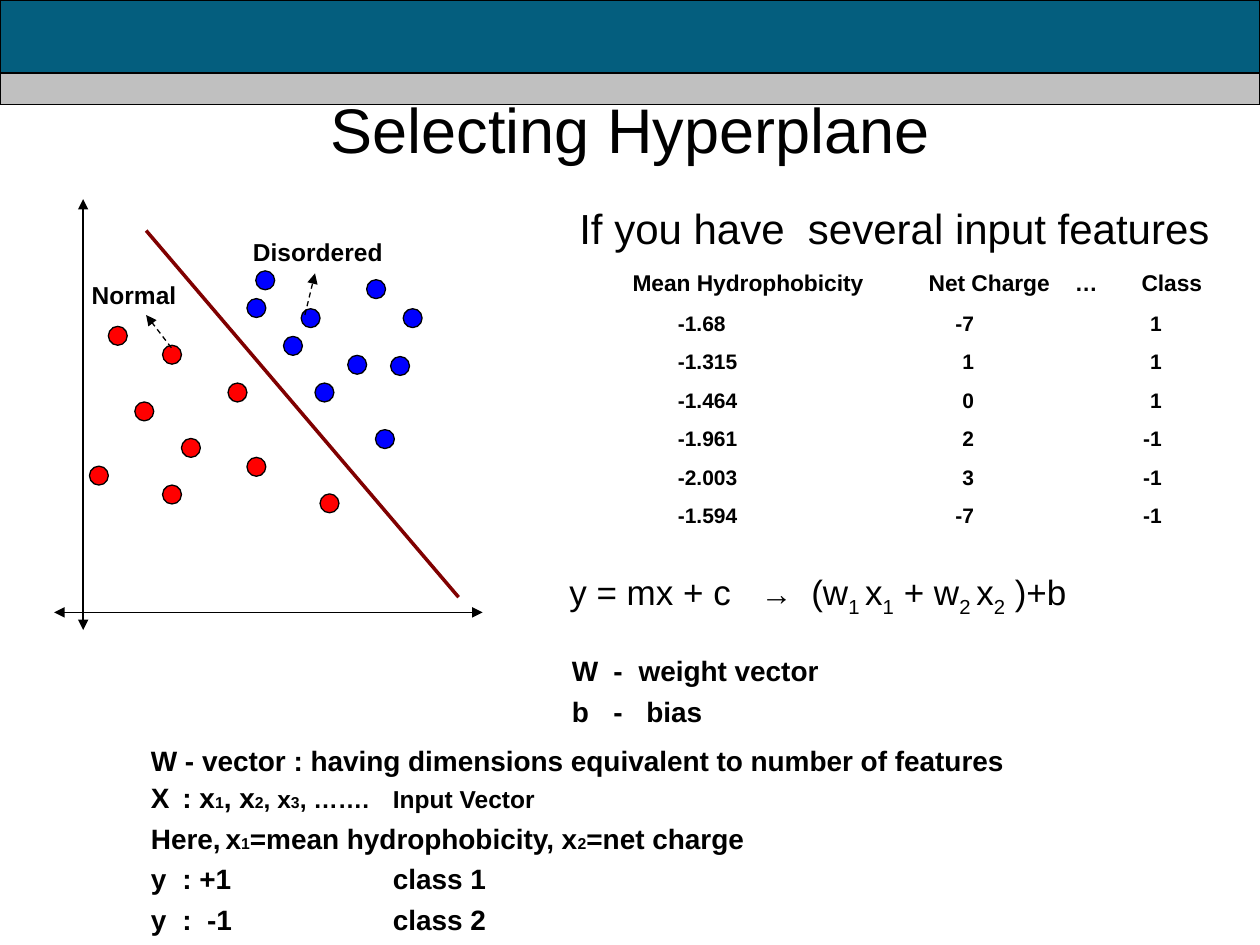
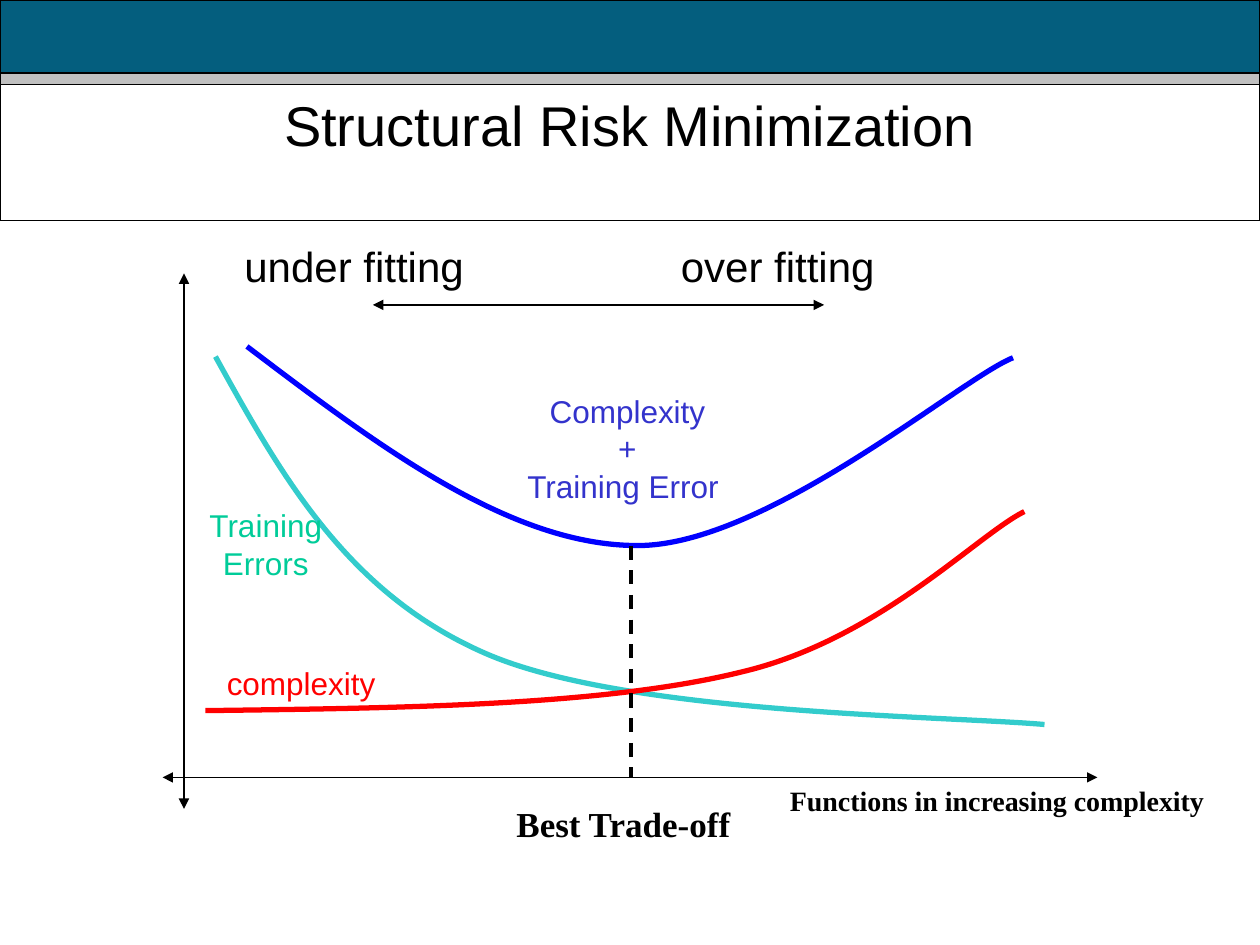
from lxml import etree
from pptx import Presentation
from pptx.dml.color import RGBColor
from pptx.enum.dml import MSO_LINE
from pptx.enum.shapes import MSO_CONNECTOR, MSO_SHAPE
from pptx.enum.text import MSO_ANCHOR, MSO_AUTO_SIZE, PP_ALIGN
from pptx.oxml.ns import qn
from pptx.util import Inches, Pt

TEAL = RGBColor(0x04, 0x5E, 0x7E)
SILVER = RGBColor(0xC0, 0xC0, 0xC0)
BLACK = RGBColor(0, 0, 0)
WHITE = RGBColor(0xFF, 0xFF, 0xFF)
RED = RGBColor(0xFF, 0, 0)
BLUE = RGBColor(0, 0, 0xFF)
MAROON = RGBColor(0x80, 0, 0)
AQUA = RGBColor(0x33, 0xCC, 0xCC)
GREEN = RGBColor(0, 0xCC, 0x99)
INDIGO = RGBColor(0x33, 0x33, 0xCC)
LEFT, CENTER, RIGHT = PP_ALIGN.LEFT, PP_ALIGN.CENTER, PP_ALIGN.RIGHT


def write(tf, paras, size=18, color=BLACK, bold=False, font="Arial", align=LEFT,
          gaps=(), tabs=(), wrap=True):
    tf.word_wrap = wrap
    tf.auto_size = MSO_AUTO_SIZE.NONE
    for i, runs in enumerate(paras):
        p = tf.paragraphs[0] if i == 0 else tf.add_paragraph()
        p.alignment = align
        p.space_before = Pt(gaps[i - 1] if i and gaps else 0)
        if tabs:
            tab_list = etree.SubElement(p._p.get_or_add_pPr(), qn("a:tabLst"))
            for pos in tabs:
                etree.SubElement(tab_list, qn("a:tab"), pos=str(Inches(pos)), algn="l")
        for text, run_size, base in [(runs, size, 0)] if isinstance(runs, str) else runs:
            r = p.add_run()
            r.text = text
            r.font.name, r.font.size, r.font.bold = font, Pt(run_size), bold
            r.font.color.rgb = color
            if base:
                r._r.get_or_add_rPr().set("baseline", str(base * 1000))


def add_line(s, x1, y1, x2, y2, color=BLACK, width=0.75, dash=False, ends=()):
    c = s.shapes.add_connector(MSO_CONNECTOR.STRAIGHT, Inches(x1), Inches(y1),
                               Inches(x2), Inches(y2))
    c.line.color.rgb = color
    c.line.width = Pt(width)
    if dash:
        c.line.dash_style = MSO_LINE.DASH
    for end in ends:
        etree.SubElement(c.line._get_or_add_ln(), qn(f"a:{end}"), type="triangle")
    etree.SubElement(c._element.spPr, qn("a:effectLst"))


BOTH = ("headEnd", "tailEnd")
prs = Presentation()
prs.slide_width, prs.slide_height = Inches(10), Inches(7.5)
layout = prs.slide_layouts[5]
plane = prs.slides.add_slide(layout)
risk = prs.slides.add_slide(layout)

master_tree = prs.slide_master.element.cSld.spTree
for i, (y, h, color) in enumerate([(0, 0.83, TEAL), (0.58, 0.25, SILVER)]):
    band = plane.shapes.add_shape(MSO_SHAPE.RECTANGLE, 0, Inches(y), Inches(10), Inches(h))
    band.shadow.inherit = False
    band.fill.solid()
    band.fill.fore_color.rgb = color
    band.line.color.rgb = BLACK
    band.line.width = Pt(0.75)
    band._element.nvSpPr.cNvPr.set("id", str(101 + i))
    master_tree.insert(2 + i, band._element)

for s, text, size, x, w, h in [
    (plane, "Selecting Hyperplane", 36, 0.75, 8.5, 0.94),
    (risk, "Structural Risk Minimization", 32, 0, 10, 1.08),
]:
    title = s.shapes.title
    title.left, title.top, title.width, title.height = map(Inches, (x, 0.67, w, h))
    title.text_frame.vertical_anchor = MSO_ANCHOR.TOP
    write(title.text_frame, [text], size=size, align=CENTER)

title = risk.shapes.title
title.fill.solid()
title.fill.fore_color.rgb = WHITE
title.line.color.rgb = BLACK
title.line.width = Pt(0.75)

add_line(plane, 0.43, 4.86, 3.83, 4.86, ends=BOTH)
add_line(plane, 0.66, 1.58, 0.66, 5, ends=BOTH)
add_line(plane, 1.16, 1.83, 3.64, 4.74, color=MAROON, width=2)

normal = [(0.86, 2.59), (1.07, 3.19), (1.29, 2.74), (0.71, 3.7), (1.44, 3.48),
          (1.96, 3.63), (1.29, 3.85), (1.81, 3.04), (2.54, 3.92)]
disordered = [(1.96, 2.37), (2.91, 2.22), (2.25, 2.67), (2.03, 2.15), (2.76, 2.82),
              (2.39, 2.45), (2.5, 3.04), (2.98, 3.41), (3.2, 2.45), (3.1, 2.83)]
for color, points in [(RED, normal), (BLUE, disordered)]:
    for x, y in points:
        dot = plane.shapes.add_shape(MSO_SHAPE.OVAL, Inches(x), Inches(y),
                                     Inches(0.15), Inches(0.15))
        dot.shadow.inherit = False
        dot.fill.solid()
        dot.fill.fore_color.rgb = color
        dot.line.color.rgb = BLACK
        dot.line.width = Pt(0.75)

add_line(plane, 2.42, 2.5, 2.5, 2.17, dash=True, ends=["tailEnd"])
add_line(plane, 1.36, 2.76, 1.16, 2.5, dash=True, ends=["tailEnd"])

samples = [
    ("Mean Hydrophobicity", "Net Charge", "…", "Class"),
    ("-1.68", "-7", "", "1"),
    ("-1.315", "1", "", "1"),
    ("-1.464", "0", "", "1"),
    ("-1.961", "2", "", "-1"),
    ("-2.003", "3", "", "-1"),
    ("-1.594", "-7", "", "-1"),
]
columns = [(2.35, LEFT, 0.36, 0), (1.16, RIGHT, 0, 0.8),
           (0.53, LEFT, 0, 0), (0.69, RIGHT, 0, 0.53)]
frame = plane.shapes.add_table(len(samples), len(columns), Inches(5.02), Inches(2.08),
                               Inches(4.73), Inches(2.17))
table = frame.table
table.first_row = table.horz_banding = False
for i, row in enumerate(samples):
    table.rows[i].height = Inches(1.83 / 6 if i else 0.34)
    for j, (w, align, left, right) in enumerate(columns):
        table.columns[j].width = Inches(w)
        cell = table.cell(i, j)
        cell.fill.background()
        cell.vertical_anchor = MSO_ANCHOR.MIDDLE
        cell.margin_top = cell.margin_bottom = 0
        cell.margin_left = Inches(left if i else 0)
        cell.margin_right = Inches(right if i else 0)
        p = cell.text_frame.paragraphs[0]
        p.alignment = align if i else LEFT
        p.font.size = Pt(12 if i else 13)
        if row[j]:
            r = p.add_run()
            r.text = row[j]
            r.font.name, r.font.size, r.font.bold = "Arial", Pt(12 if i else 13), True
            r.font.color.rgb = BLACK

equation = [[("y = mx + c\t", 20, 0), ("→", 18, 0), ("\t(w", 20, 0), ("1 ", 20, -25),
             ("x", 20, 0), ("1", 20, -25), (" + w", 20, 0), ("2 ", 20, -25),
             ("x", 20, 0), ("2", 20, -25), (" )+b", 20, 0)]]
definitions = [
    "W - vector : having dimensions equivalent to number of features",
    [("X\t: x", 16, 0), ("1", 9, 0), (", x", 16, 0), ("2", 9, 0), (", x", 14, 0),
     ("3", 9, 0), (", …….\tInput Vector", 14, 0)],
    [("Here,", 16, 0), (" ", 10, 0), ("x", 16, 0), ("1", 9, 0),
     ("=mean hydrophobicity, x", 16, 0), ("2", 9, 0), ("=net charge", 16, 0)],
    "y\t: +1\tclass 1",
    "y\t:  -1\tclass 2",
]
times = dict(font="Times New Roman", bold=True)
label = dict(size=14, bold=True, wrap=False)
curve_label = dict(align=CENTER, wrap=False)
fit_label = dict(size=24, align=RIGHT, wrap=False)
boxes = [
    (plane, 1.91, 1.83, 1.23, 0.34, ["Disordered"], label),
    (plane, 0.63, 2.17, 0.87, 0.34, ["Normal"], label),
    (plane, 4.5, 1.56, 5.2, 0.5, ["If you have  several input features"],
     dict(size=24, wrap=False)),
    (plane, 4.42, 4.48, 4.92, 0.48, equation, dict(size=20, tabs=(1.52, 1.92))),
    (plane, 4.44, 5.14, 2.22, 0.69, ["W\t-\tweight vector", "b\t-\t bias"],
     dict(size=16, bold=True, gaps=[4], tabs=(0.33, 0.53))),
    (plane, 1.1, 5.85, 6.97, 1.63, definitions,
     dict(size=16, bold=True, gaps=[2.2, 4, 4, 4], tabs=(0.25, 1.92), wrap=False)),
    (risk, 1.56, 3.97, 1.1, 0.7, ["Training", "Errors"], dict(curve_label, color=GREEN)),
    (risk, 1.7, 5.22, 1.38, 0.4, ["complexity"], dict(curve_label, color=RED)),
    (risk, 4.05, 3.06, 1.86, 1, ["Complexity", "+", "Training Error "],
     dict(curve_label, color=INDIGO)),
    (risk, 4, 6.32, 1.99, 0.44, ["Best Trade-off"], dict(times, size=20, wrap=False)),
    (risk, 5.3, 1.86, 1.74, 0.5, ["over fitting"], fit_label),
    (risk, 1.84, 1.86, 1.94, 0.5, ["under fitting"], fit_label),
    (risk, 6.17, 6.17, 3.69, 0.5, ["Functions in increasing complexity"],
     dict(times, size=16)),
]

add_line(risk, 1.46, 2.17, 1.46, 6.42, width=1, ends=BOTH)
add_line(risk, 1.29, 6.17, 8.71, 6.17, width=1, ends=BOTH)
add_line(risk, 2.96, 2.42, 6.54, 2.42, ends=BOTH)

curves = [
    (AQUA, [(1.71, 2.83), (2.23, 3.77), (2.75, 4.7), (3.84, 5.18),
            (4.94, 5.67), (7.48, 5.68), (8.29, 5.75)]),
    (RED, [(1.63, 5.64), (3.22, 5.62), (4.82, 5.6), (5.9, 5.33),
           (6.98, 5.07), (7.75, 4.25), (8.13, 4.06)]),
    (BLUE, [(1.96, 2.75), (2.99, 3.53), (4.03, 4.32), (5.04, 4.33),
            (6.06, 4.35), (7.63, 3), (8.04, 2.84)]),
]
for color, knots in curves:
    start, *rest = [(Inches(x), Inches(y)) for x, y in knots]
    builder = risk.shapes.build_freeform(*start)
    builder.add_line_segments(rest, close=False)
    sp = builder.convert_to_shape()
    segments = list(sp._element.iter(qn("a:lnTo")))
    outline = segments[0].getparent()
    for k in range(0, len(segments), 3):
        bezier = etree.SubElement(outline, qn("a:cubicBezTo"))
        for segment in segments[k:k + 3]:
            bezier.append(segment[0])
            outline.remove(segment)
    sp.shadow.inherit = False
    sp.fill.background()
    sp.line.color.rgb = color
    sp.line.width = Pt(3)

add_line(risk, 5.01, 4.33, 5.01, 6.17, width=2, dash=True)

for s, x, y, w, h, paras, fmt in boxes:
    box = s.shapes.add_textbox(Inches(x), Inches(y), Inches(w), Inches(h))
    write(box.text_frame, paras, **fmt)

prs.save("out.pptx")
